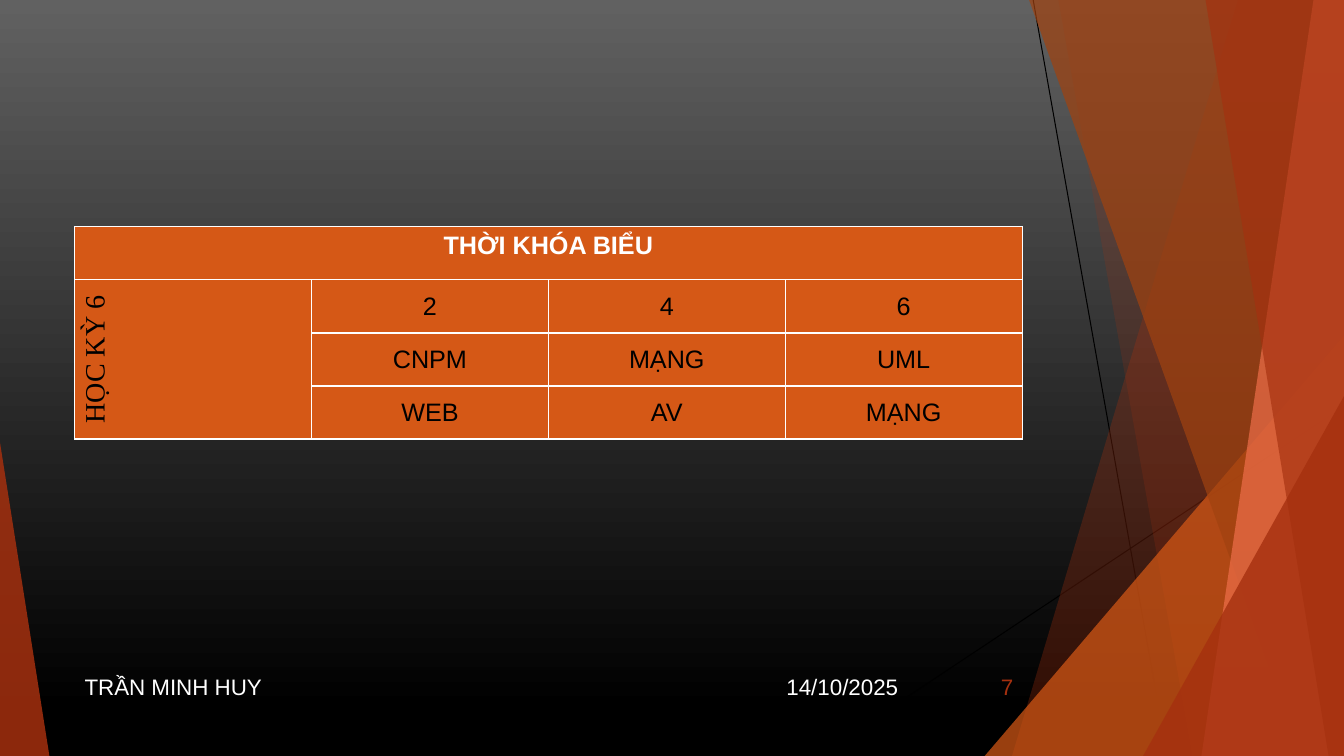
"""Build the timetable slide with its faceted backdrop and footer."""
from lxml.etree import SubElement
from pptx import Presentation
from pptx.dml.color import RGBColor
from pptx.enum.shapes import MSO_CONNECTOR, MSO_SHAPE
from pptx.enum.text import MSO_ANCHOR, PP_ALIGN
from pptx.oxml.ns import qn
from pptx.util import Pt

COLORS = {
    "white": "FFFFFF", "black": "000000", "gray": "616161", "red": "A5300F",
    "orange": "D55816", "brown": "A04210", "coral": "EE6E4A",
}
WIDTH, HEIGHT = 960, 540
TITLE = "THỜI KHÓA BIỂU"
SEMESTER = "HỌC KỲ 6"
LESSONS = [("2", "4", "6"), ("CNPM", "MẠNG", "UML"), ("WEB", "AV", "MẠNG")]
TABLE_LEFT, TABLE_TOP, COLUMN, ROW = 53.3, 162, 169.2, 37.9
FOOTER_TOP, FOOTER_HEIGHT = 475.9, 28.8
FOOTER = [
    ("14/10/2025", 480.2, 168.5, "white", PP_ALIGN.RIGHT),
    ("TRẦN MINH HUY", 53.3, 426.2, "white", PP_ALIGN.LEFT),
    ("7", 649.4, 81.4, "red", PP_ALIGN.RIGHT),
]
RAYS = [(738, 0, 833.8, HEIGHT), (WIDTH, 290.2, 584.6, HEIGHT)]
# Facets: top-left x, bottom-left x, colour, opacity in percent
BANDS_BEHIND = [(884.2, 722.9, "red", 30), (756, 851.8, "red", 20)]
BANDS_FRONT = [
    (735.1, 929.5, "brown", 70), (938.2, 858.2, "coral", 70), (861.1, 949, "red", 65),
]
CORNER_BEHIND = (703.4, 239.8, 256.6, 1, "orange", 72)
CORNERS_FRONT = [(816.5, 283, 143.5, 1, "red", 80), (0, 316.1, 35.3, 0, "red", 85)]


def rgb(color):
    return RGBColor.from_string(COLORS[color])


def paint(facet, color, opacity):
    facet.shadow.inherit = False
    facet.fill.solid()
    facet.fill.fore_color.rgb = rgb(color)
    tint = facet.fill._xPr.find(qn("a:solidFill"))[0]
    SubElement(tint, qn("a:alpha"), val=str(opacity * 1000))
    facet.line.fill.background()


def add_band(slide, top_x, bottom_x, color, opacity):
    outline = slide.shapes.build_freeform(Pt(top_x), 0)
    corners = [(WIDTH, 0), (WIDTH, HEIGHT), (bottom_x, HEIGHT)]
    outline.add_line_segments([(Pt(x), Pt(y)) for x, y in corners], close=True)
    paint(outline.convert_to_shape(), color, opacity)


def add_corner(slide, left, top, width, apex, color, opacity):
    corner = slide.shapes.add_shape(
        MSO_SHAPE.ISOSCELES_TRIANGLE, Pt(left), Pt(top), Pt(width), Pt(HEIGHT - top))
    corner.adjustments[0] = apex
    paint(corner, color, opacity)


def add_ray(slide, *ends):
    ray = slide.shapes.add_connector(MSO_CONNECTOR.STRAIGHT, *map(Pt, ends))
    ray.line.color.rgb = rgb("black")
    ray.line.width = Pt(0.75)
    SubElement(ray._element.spPr, qn("a:effectLst"))


def write(frame, text, size, color, align, font="Arial", bold=False):
    paragraph = frame.paragraphs[0]
    paragraph.alignment = align
    run = paragraph.add_run()
    run.text = text
    run.font.name, run.font.size, run.font.bold = font, Pt(size), bold
    run.font.color.rgb = rgb(color)


def style_cell(cell):
    properties = cell._tc.get_or_add_tcPr()
    for side in ("lnL", "lnR", "lnT", "lnB"):
        border = SubElement(properties, qn(f"a:{side}"), w=str(Pt(1)))
        SubElement(SubElement(border, qn("a:solidFill")), qn("a:srgbClr"),
                   val=COLORS["white"])
    cell.fill.solid()
    cell.fill.fore_color.rgb = rgb("orange")


def add_timetable(slide):
    rows, columns = len(LESSONS) + 1, len(LESSONS[0]) + 1
    timetable = slide.shapes.add_table(
        rows, columns, Pt(TABLE_LEFT), Pt(TABLE_TOP),
        Pt(COLUMN * columns), Pt(ROW * rows)).table
    for cell in timetable.iter_cells():
        style_cell(cell)
    heading, semester = timetable.cell(0, 0), timetable.cell(1, 0)
    heading.merge(timetable.cell(0, columns - 1))
    semester.merge(timetable.cell(rows - 1, 0))
    write(heading.text_frame, TITLE, 18, "white", PP_ALIGN.CENTER, bold=True)
    write(semester.text_frame, SEMESTER, 20, "black", PP_ALIGN.CENTER, "Times New Roman")
    semester.vertical_anchor = MSO_ANCHOR.MIDDLE
    semester._tc.get_or_add_tcPr().set("vert", "vert270")
    for row, lessons in enumerate(LESSONS, 1):
        for column, lesson in enumerate(lessons, 1):
            cell = timetable.cell(row, column)
            cell.vertical_anchor = MSO_ANCHOR.MIDDLE
            write(cell.text_frame, lesson, 18, "black", PP_ALIGN.CENTER)


def add_footer(slide, text, left, width, color, align):
    frame = slide.shapes.add_textbox(
        Pt(left), Pt(FOOTER_TOP), Pt(width), Pt(FOOTER_HEIGHT)).text_frame
    frame.word_wrap = True
    frame.vertical_anchor = MSO_ANCHOR.MIDDLE
    write(frame, text, 16, color, align)


def main():
    deck = Presentation()
    deck.slide_width, deck.slide_height = Pt(WIDTH), Pt(HEIGHT)
    slide = deck.slides.add_slide(deck.slide_layouts[6])
    backdrop = slide.background.fill
    backdrop.gradient()
    backdrop.gradient_angle = 270
    for stop, color, position in zip(
            backdrop.gradient_stops, ("gray", "black"), (0, 0.94)):
        stop.color.rgb = rgb(color)
        stop.position = position
    for ray in RAYS:
        add_ray(slide, *ray)
    for band in BANDS_BEHIND:
        add_band(slide, *band)
    add_corner(slide, *CORNER_BEHIND)
    for band in BANDS_FRONT:
        add_band(slide, *band)
    for corner in CORNERS_FRONT:
        add_corner(slide, *corner)
    add_timetable(slide)
    for entry in FOOTER:
        add_footer(slide, *entry)
    deck.save("out.pptx")


if __name__ == "__main__":
    main()
